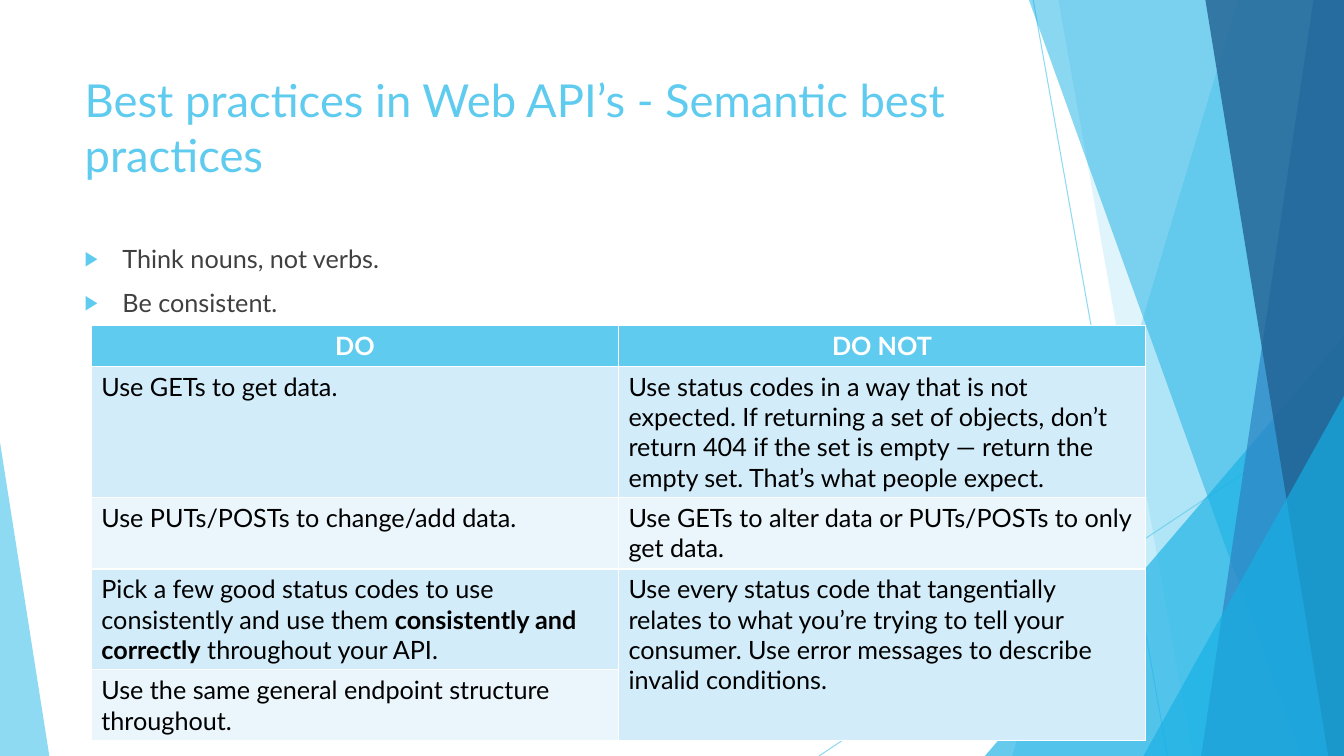
from pptx import Presentation
from pptx.dml.color import RGBColor as Rgb
from pptx.enum.shapes import MSO_CONNECTOR as Link, MSO_SHAPE as Form
from pptx.enum.text import MSO_ANCHOR as Anchor, MSO_AUTO_SIZE as Fit, PP_ALIGN as Align
from pptx.oxml.ns import qn
from pptx.util import Pt
from lxml.etree import SubElement as Sub

PX = 9525
WIDE, HIGH = 1280, 720
THEME = {
    "font": "Lato",
    "head": 32.4,
    "text": 18,
    "sky": "5FCBEF",
    "cyan": "17B0E4",
    "blue": "2E83C3",
    "navy": "226292",
    "gray": "404040",
    "black": "000000",
    "white": "FFFFFF",
    "dark": "D2ECF9",
    "light": "EAF6FC",
}


def write(para, text, tint, size="text", bold=False):
    run = para.add_run()
    run.text = text
    run.font.name = THEME["font"]
    run.font.size = Pt(THEME[size])
    run.font.bold = bold
    run.font.color.rgb = Rgb.from_string(THEME[tint])


def paint(shape, fill, tint, alpha):
    fill.solid()
    fill.fore_color.rgb = Rgb.from_string(THEME[tint])
    for mark in shape.element.iter(qn("a:srgbClr")):
        Sub(mark, qn("a:alpha"), val=str(alpha * 1000))


deck = Presentation()
deck.slide_width, deck.slide_height = WIDE * PX, HIGH * PX
slide = deck.slides.add_slide(deck.slide_layouts[1])
shapes = slide.shapes
title, body = slide.placeholders

for ends in [(984, 0, 1112, HIGH), (WIDE, 387, 780, HIGH)]:
    line = shapes.add_connector(Link.STRAIGHT, *[n * PX for n in ends])
    line.line.width = Pt(0.75)
    paint(line, line.line.fill, "sky", 70)
    Sub(line.element.spPr, qn("a:effectLst"))

facets = [
    ("band", (1179, 964), "sky", 36),
    ("band", (1008, 1136), "sky", 20),
    ("peak", (938, 320, 342, 1), "cyan", 66),
    ("band", (980, 1239), "cyan", 50),
    ("band", (1251, 1144), "blue", 70),
    ("band", (1148, 1265), "navy", 80),
    ("peak", (1089, 377, 191, 1), "cyan", 66),
    ("peak", (0, 421, 47, 0), "sky", 70),
]
for kind, place, tint, alpha in facets:
    if kind == "band":
        top, foot = place
        pen = shapes.build_freeform(top, 0, scale=PX)
        pen.add_line_segments([(WIDE, 0), (WIDE, HIGH), (foot, HIGH)], close=True)
        facet = pen.convert_to_shape()
    else:
        left, top, width, tip = place
        box = [n * PX for n in (left, top, width, HIGH - top)]
        facet = shapes.add_shape(Form.ISOSCELES_TRIANGLE, *box)
        facet.adjustments[0] = tip
    facet.shadow.inherit = False
    facet.line.fill.background()
    paint(facet, facet.fill, tint, alpha)

for holder, top, height in [(title, 64, 138), (body, 227, 407)]:
    holder.left, holder.top = 71 * PX, top * PX
    holder.width, holder.height = 902 * PX, height * PX
    holder.text_frame.word_wrap = True
    holder.text_frame.auto_size = Fit.NONE
    holder.text_frame.vertical_anchor = Anchor.TOP
    shapes.element.append(holder.element)

head = title.text_frame.paragraphs[0]
head.alignment = Align.LEFT
write(head, "Best practices in Web API’s - Semantic best practices", "sky", "head")

frame = body.text_frame
for i, text in enumerate(["Think nouns, not verbs.", "Be consistent."]):
    para = frame.add_paragraph() if i else frame.paragraphs[0]
    para.space_before = Pt(10)
    props = para._p.get_or_add_pPr()
    props.set("marL", str(36 * PX))
    props.set("indent", str(-36 * PX))
    Sub(Sub(props, qn("a:buClr")), qn("a:srgbClr"), val=THEME["sky"])
    Sub(props, qn("a:buSzPct"), val="80000")
    Sub(props, qn("a:buChar"), char="▶")
    write(para, text, "gray")

rows = [
    (39, ["DO"], ["DO NOT"]),
    (125, ["Use GETs to get data."],
     ["Use status codes in a way that is not expected. If returning a set of objects, "
      "don’t return 404 if the set is empty — return the empty set. "
      "That’s what people expect."]),
    (68, ["Use PUTs/POSTs to change/add data."],
     ["Use GETs to alter data or PUTs/POSTs to only get data."]),
    (96, ["Pick a few good status codes to use consistently and use them ",
          "consistently and correctly", " throughout your API."],
     ["Use every status code that tangentially relates to what you’re trying to tell "
      "your consumer. Use error messages to describe invalid conditions."]),
    (67, ["Use the same general endpoint structure throughout."], []),
]
tall = sum(row[0] for row in rows)
grid = shapes.add_table(len(rows), 2, 87 * PX, 310 * PX, 1004 * PX, tall * PX).table
for r, (height, *cells) in enumerate(rows):
    grid.rows[r].height = height * PX
    for c, parts in enumerate(cells):
        cell = grid.cell(r, c)
        cell.fill.solid()
        shade = ("dark" if r % 2 else "light") if r else "sky"
        cell.fill.fore_color.rgb = Rgb.from_string(THEME[shade])
        para = cell.text_frame.paragraphs[0]
        para.alignment = Align.LEFT if r else Align.CENTER
        for i, text in enumerate(parts):
            write(para, text, "black" if r else "white", bold=r == 0 or i == 1)
grid.cell(3, 1).merge(grid.cell(4, 1))

deck.save("out.pptx")
